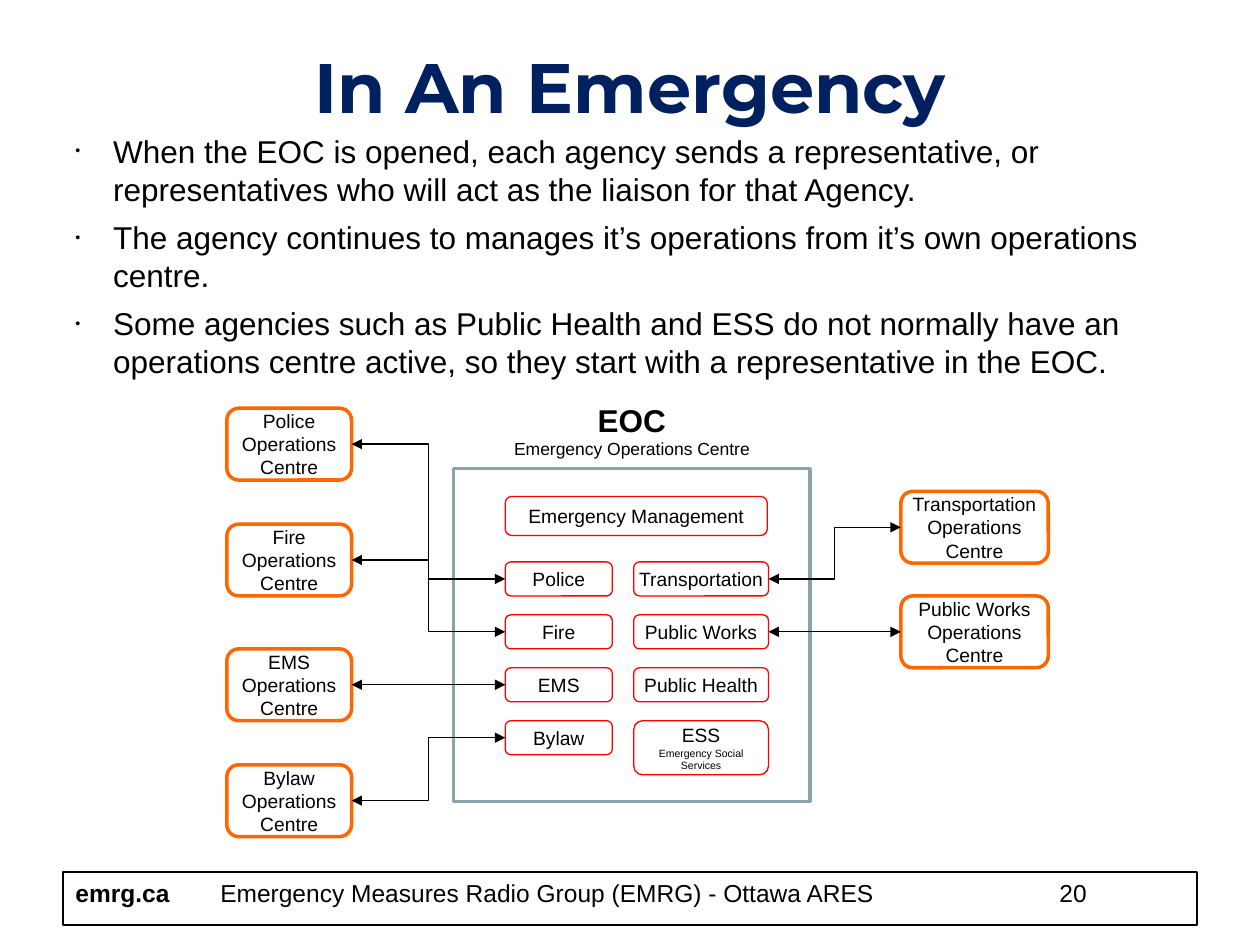
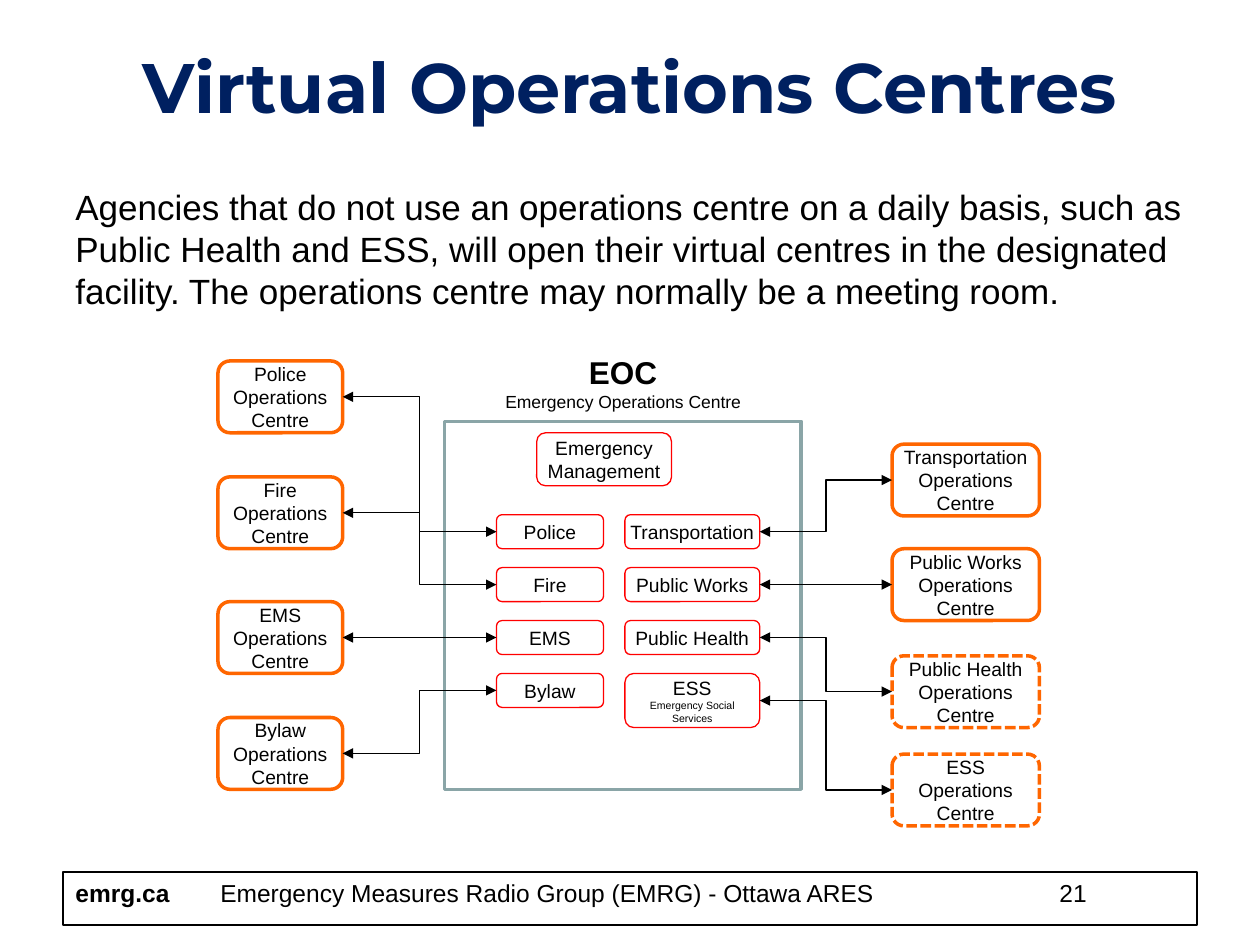
from dataclasses import dataclass
from typing import Any, NamedTuple

from pptx import Presentation
from pptx.dml.color import RGBColor
from pptx.enum.dml import MSO_LINE
from pptx.enum.shapes import MSO_CONNECTOR, MSO_SHAPE
from pptx.enum.text import MSO_ANCHOR, PP_ALIGN
from pptx.oxml.ns import qn
from pptx.util import Inches, Pt

RECT, ROUND = MSO_SHAPE.RECTANGLE, MSO_SHAPE.ROUNDED_RECTANGLE
ELBOW, DASH = MSO_CONNECTOR.ELBOW, MSO_LINE.SQUARE_DOT
LEFT, CENTER = PP_ALIGN.LEFT, PP_ALIGN.CENTER
TOP, MIDDLE = MSO_ANCHOR.TOP, MSO_ANCHOR.MIDDLE

WIDE, HIGH = Inches(10), Inches(7.5)
COLS, ROWS = 100, 75
BLACK, NAVY, ORANGE, RED, SAGE = "000000", "002060", "FF6600", "FF0000", "8AA5A7"
LEFT_SITE, RIGHT_SITE = 1, 3
TEAM_TOP, TEAM_STEP, TEAM_HIGH = 7.4, 4.2, 2.7
HUB_HIGH = 5.7


class Box(NamedTuple):
    col: float
    row: float
    wide: float
    high: float

    def shift(self, col: float, row: float) -> "Box":
        return Box(self.col + col, self.row + row, self.wide, self.high)

    def place(self) -> tuple[int, int, int, int]:
        return x(self.col), y(self.row), x(self.wide), y(self.high)


@dataclass(frozen=True)
class Line:
    text: str
    size: float = 11
    bold: bool = False
    font: str = "Arial"
    color: str = BLACK


@dataclass(frozen=True)
class Side:
    team_col: float
    team_wide: float
    hub_col: float
    hub_wide: float
    teams: tuple[str, ...]
    team_site: int
    hub_site: int


@dataclass(frozen=True)
class Page:
    title: str
    number: int
    body: Box
    size: float
    bullets: bool
    text: tuple[str, ...]
    origin: tuple[float, float]
    frame: float
    lead: Box
    hubs: tuple[dict[str, float], dict[str, float]]
    dashed: tuple[str, ...] = ()


SIDES = (
    Side(4.1, 8.5, -18, 9.9, ("Police", "Fire", "EMS", "Bylaw"), LEFT_SITE, RIGHT_SITE),
    Side(14.3, 10.7, 35.5, 11.7,
         ("Transportation", "Public Works", "Public Health", "ESS"),
         RIGHT_SITE, LEFT_SITE),
)
WEST = {"Police": -4.8, "Fire": 4.4, "EMS": 14.3, "Bylaw": 23.5}
EAST = {"Transportation": 1.8, "Public Works": 10.1}
VIRTUAL = {"Public Health": 18.6, "ESS": 26.4}

PAGES = (
    Page("In An Emergency", 20, Box(5, 10, 90, 20.7), 18, True, (
        "When the EOC is opened, each agency sends a representative, or "
        "representatives who will act as the liaison for that Agency.",
        "The agency continues to manages it’s operations from it’s own "
        "operations centre.",
        "Some agencies such as Public Health and ESS do not normally have an "
        "operations centre active, so they start with a representative in the EOC.",
    ), (36, 37.2), 26.4, Box(4.1, 2.2, 20.8, 3.1), (WEST, EAST)),
    Page("Virtual Operations Centres", 21, Box(5, 14.2, 90, 11), 20, False, (
        "Agencies that do not use an operations centre on a daily basis, such as "
        "Public Health and ESS, will open their virtual centres in the designated "
        "facility. The operations centre may normally be a meeting room.",
    ), (35.3, 33.45), 29.2, Box(7.3, 0.9, 10.7, 4.2), (WEST, EAST | VIRTUAL),
        tuple(VIRTUAL)),
)


def x(cols: float) -> int:
    return round(WIDE * cols / COLS)


def y(rows: float) -> int:
    return round(HIGH * rows / ROWS)


def tint(code: str) -> RGBColor:
    return RGBColor.from_string(code)


def assign(target: Any, values: dict[str, Any]) -> None:
    for name, value in values.items():
        setattr(target, name, value)


def write(shape: Any, lines: list[Line], align: Any = LEFT,
          anchor: Any = TOP, pad: float = 1) -> Any:
    frame = shape.text_frame
    assign(frame, {
        "word_wrap": True, "vertical_anchor": anchor,
        "margin_left": x(pad), "margin_right": x(pad),
        "margin_top": y(0.5), "margin_bottom": y(0.5),
    })
    for index, line in enumerate(lines):
        para = frame.add_paragraph() if index else frame.paragraphs[0]
        para.alignment = align
        run = para.add_run()
        run.text = line.text
        assign(run.font, {"name": line.font, "size": Pt(line.size), "bold": line.bold})
        run.font.color.rgb = tint(line.color)
    return frame


def label(slide: Any, box: Box, lines: list[Line], align: Any = LEFT) -> Any:
    return write(slide.shapes.add_textbox(*box.place()), lines, align)


def outline(slide: Any, box: Box, kind: Any, color: str, width: float) -> Any:
    shape = slide.shapes.add_shape(kind, *box.place())
    shape.shadow.inherit = False
    shape.fill.background()
    shape.line.color.rgb = tint(color)
    shape.line.width = Pt(width)
    return shape


def card(slide: Any, box: Box, color: str, width: float,
         lines: list[Line], pad: float = 0) -> Any:
    shape = outline(slide, box, ROUND, color, width)
    write(shape, lines, CENTER, MIDDLE, pad)
    return shape


def link(slide: Any, start: Any, start_site: int, end: Any, end_site: int) -> None:
    ends = []
    for shape, site in ((start, start_site), (end, end_site)):
        edge = shape.left + (shape.width if site == RIGHT_SITE else 0)
        ends += [edge, shape.top + shape.height // 2]
    wire = slide.shapes.add_connector(ELBOW, *ends)
    wire.begin_connect(start, start_site)
    wire.end_connect(end, end_site)
    wire.line.color.rgb = tint(BLACK)
    wire.line.width = Pt(0.75)
    props = wire.element.spPr
    stroke = props.find(qn("a:ln"))
    for tag in ("a:headEnd", "a:tailEnd"):
        tip = stroke.makeelement(qn(tag), {"type": "triangle"})
        stroke.append(tip)
    props.append(props.makeelement(qn("a:effectLst"), {}))


def bullet(para: Any) -> None:
    props = para._p.get_or_add_pPr()
    assign_xml = {"marL": str(x(3)), "indent": str(-x(3))}
    for name, value in assign_xml.items():
        props.set(name, value)
    ink = props.makeelement(qn("a:buClr"), {})
    ink.append(ink.makeelement(qn("a:srgbClr"), {"val": BLACK}))
    props.append(ink)
    for tag, name, value in (
        ("a:buSzPct", "val", "45000"),
        ("a:buFont", "typeface", "Arial"),
        ("a:buChar", "char", "•"),
    ):
        props.append(props.makeelement(qn(tag), {name: value}))


def footer(slide: Any, number: int) -> None:
    outline(slide, Box(5, 69.2, 90, 4.2), RECT, BLACK, 1)
    for col, wide, text, bold in (
        (5, 10.1, "emrg.ca", True),
        (16.5, 66, "Emergency Measures Radio Group (EMRG) - Ottawa ARES", False),
        (83.1, 11.9, str(number), False),
    ):
        label(slide, Box(col, 69.2, wide, 4.2), [Line(text, 14, bold)])


def body(slide: Any, page: Page) -> None:
    frame = label(slide, page.body, [Line(text, page.size) for text in page.text])
    for index, para in enumerate(frame.paragraphs):
        if page.bullets:
            bullet(para)
        if index:
            para.space_before = Pt(6)


def team(slide: Any, box: Box, name: str) -> Any:
    lines, pad = [Line(name)], 0
    if name == "ESS":
        lines.append(Line("Emergency Social Services", 6))
        box, pad = box._replace(high=4.3), 1
    return card(slide, box, RED, 0.75, lines, pad)


def chart(slide: Any, page: Page) -> None:
    at = page.origin
    label(slide, Box(3.3, -5.9, 21.7, 5.7).shift(*at),
          [Line("EOC", 18, True), Line("Emergency Operations Centre", 10)], CENTER)
    outline(slide, Box(0, 0, 28.3, page.frame).shift(*at), RECT, SAGE, 2)
    card(slide, page.lead.shift(*at), RED, 0.75, [Line("Emergency Management")])
    for side, hubs in zip(SIDES, page.hubs):
        for index, name in enumerate(side.teams):
            row = TEAM_TOP + TEAM_STEP * index
            spot = Box(side.team_col, row, side.team_wide, TEAM_HIGH).shift(*at)
            unit = team(slide, spot, name)
            if name not in hubs:
                continue
            spot = Box(side.hub_col, hubs[name], side.hub_wide, HUB_HIGH).shift(*at)
            hub = card(slide, spot, ORANGE, 2, [Line(name), Line("Operations Centre")])
            if name in page.dashed:
                hub.line.dash_style = DASH
            link(slide, hub, side.hub_site, unit, side.team_site)


def main() -> None:
    deck = Presentation()
    assign(deck, {"slide_width": WIDE, "slide_height": HIGH})
    for page in PAGES:
        slide = deck.slides.add_slide(deck.slide_layouts[6])
        footer(slide, page.number)
        label(slide, Box(5, 3, 90, 7),
              [Line(page.title, 40, True, "Montserrat", NAVY)], CENTER)
        chart(slide, page)
        body(slide, page)
    deck.save("out.pptx")


if __name__ == "__main__":
    main()
